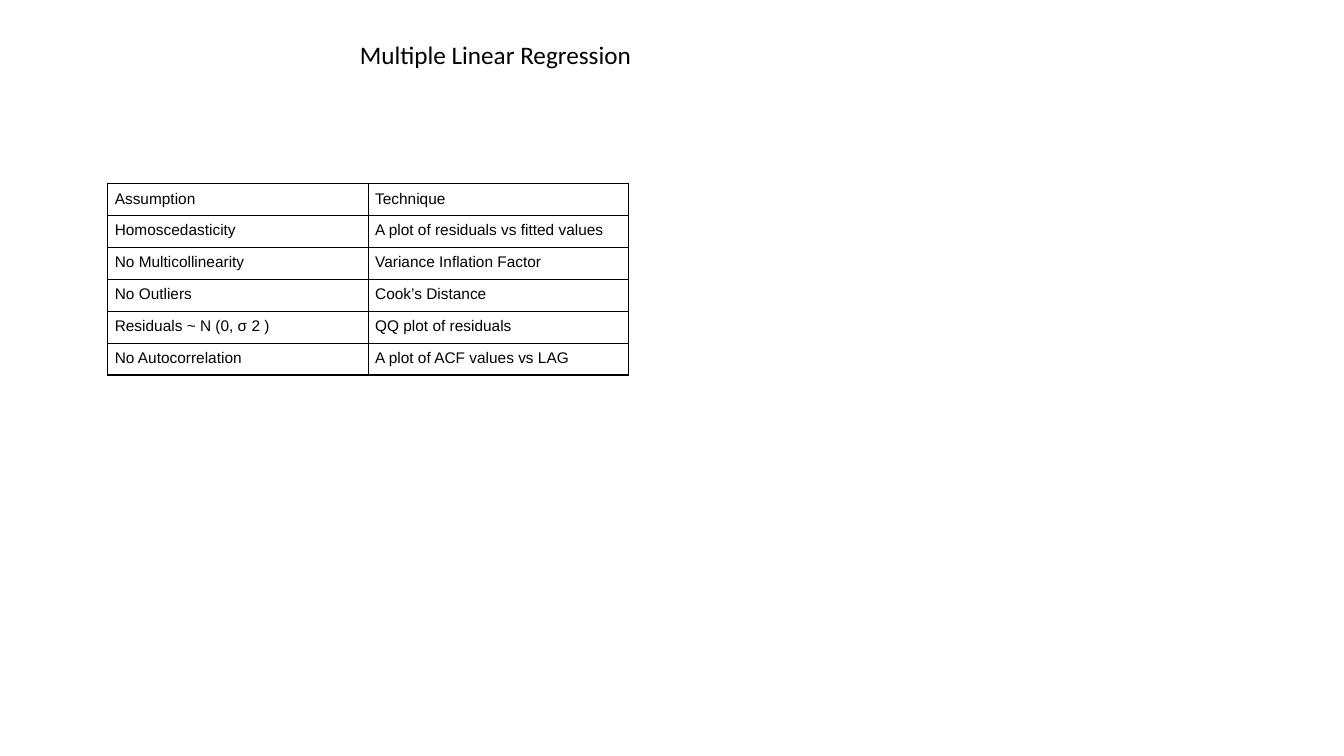
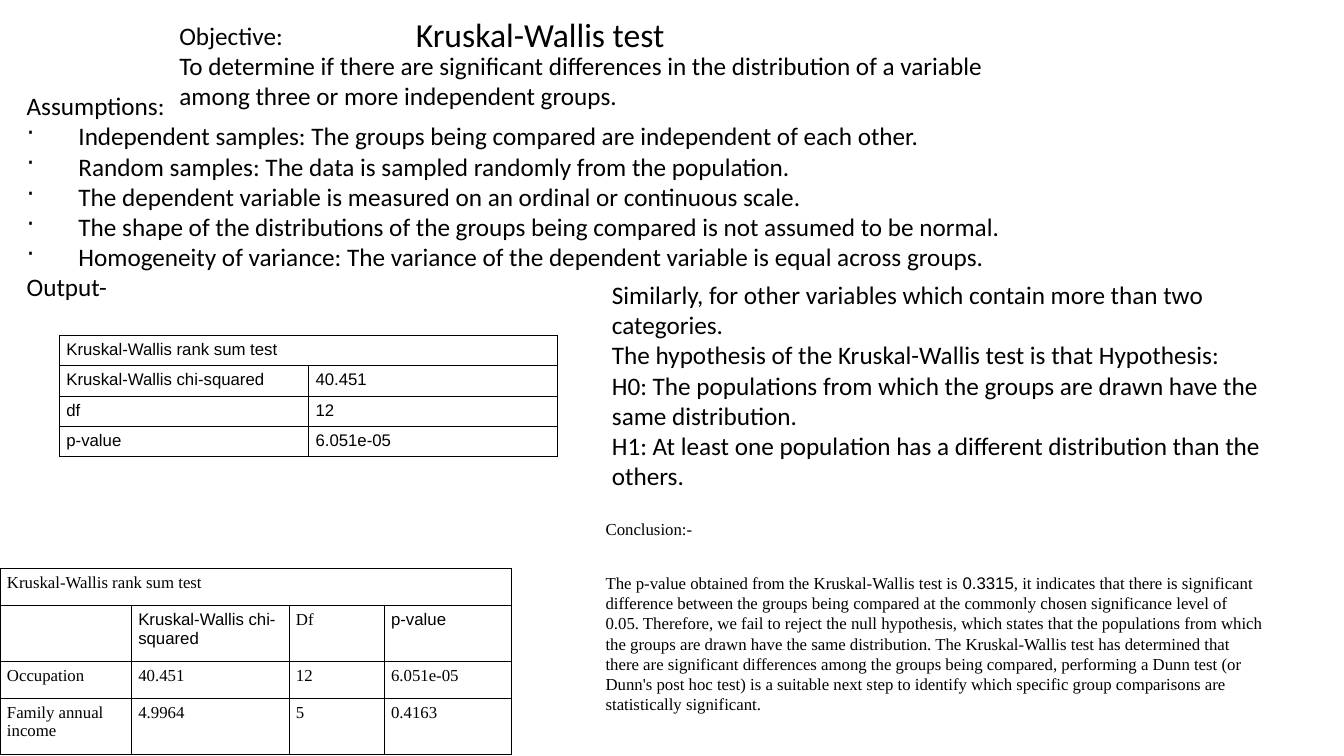
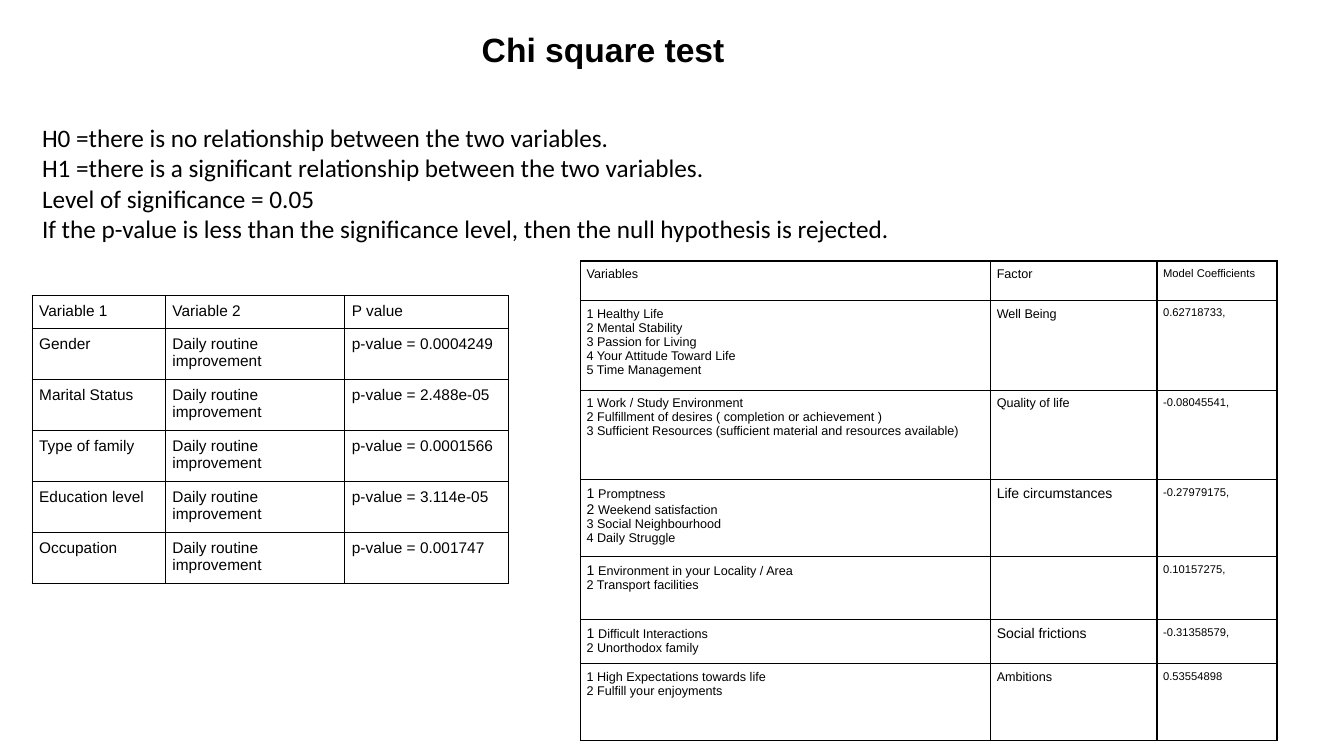
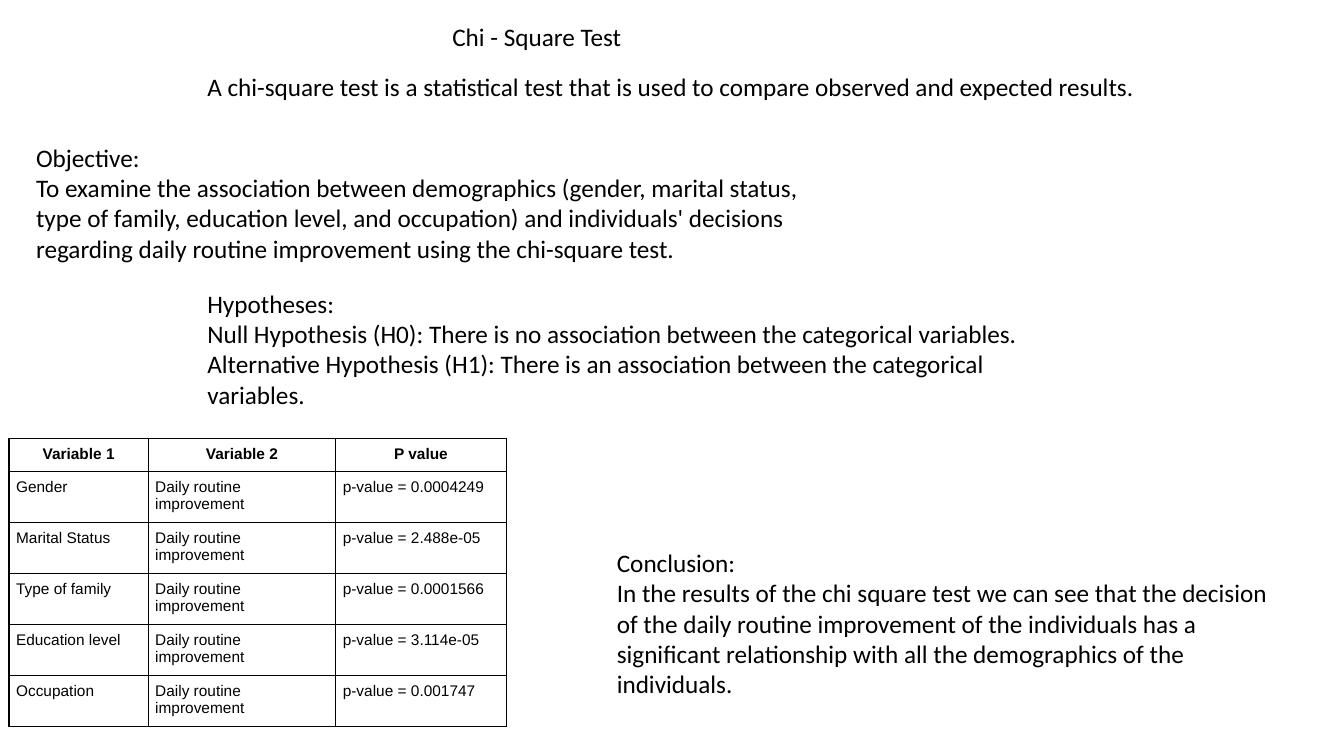
from collections import namedtuple
from dataclasses import dataclass

from lxml.etree import SubElement
from pptx import Presentation
from pptx.dml.color import RGBColor
from pptx.enum.text import PP_ALIGN
from pptx.oxml.ns import qn
from pptx.util import Pt


@dataclass(frozen=True)
class Theme:
    ink: str = "000000"
    sans: str = "Calibri"
    grid: str = "Arial"
    serif: str = "Times New Roman"
    title: int = 24
    body: int = 18
    note: int = 12
    table: int = 11
    factor: int = 10
    fine: int = 9
    tiny: int = 8
    bullet_indent: int = 37


theme = Theme()
Run = namedtuple("Run", "text font size", defaults=(None, None))
Bullet = namedtuple("Bullet", "text")
Box = namedtuple(
    "Box", "left top width height paragraphs size font bold gap",
    defaults=(theme.body, theme.sans, False, 0))


def write_text(frame, paragraphs, size, font, bold=False, gap=0, align=PP_ALIGN.LEFT):
    frame.word_wrap = True
    for index, content in enumerate(paragraphs):
        paragraph = frame.paragraphs[0] if index == 0 else frame.add_paragraph()
        paragraph.alignment = align
        if index and gap:
            paragraph.space_before = Pt(gap)
        if isinstance(content, Bullet):
            properties = paragraph._p.get_or_add_pPr()
            properties.set("marL", str(Pt(theme.bullet_indent)))
            properties.set("indent", str(-Pt(theme.bullet_indent)))
            SubElement(properties, qn("a:buChar")).set("char", "·")
            content = content.text
        for part in content if isinstance(content, list) else [content]:
            part = part if isinstance(part, Run) else Run(part)
            if not part.text:
                continue
            run = paragraph.add_run()
            run.text = part.text
            run.font.name = part.font or font
            run.font.size = Pt(part.size or size)
            run.font.bold = bold
            run.font.color.rgb = RGBColor.from_string(theme.ink)


def draw_grid(slide, left, top, widths, heights, rows, sizes, font=theme.grid,
              inset=(5, 5), line=1, strong_header=False):
    table = slide.shapes.add_table(
        len(rows), len(widths), Pt(left), Pt(top), Pt(sum(widths)), Pt(sum(heights))).table
    table.first_row = table.horz_banding = False
    for column, width in zip(table.columns, widths):
        column.width = Pt(width)
    for row, height in zip(table.rows, heights):
        row.height = Pt(height)
    for row_index, row in enumerate(rows):
        if len(row) == 1:
            table.cell(row_index, 0).merge(table.cell(row_index, len(widths) - 1))
        header = strong_header and row_index == 0
        for column_index in range(len(widths)):
            cell = table.cell(row_index, column_index)
            cell.margin_left = cell.margin_right = Pt(inset[0])
            cell.margin_top = cell.margin_bottom = Pt(inset[1])
            properties = cell._tc.get_or_add_tcPr()
            for side in ("a:lnL", "a:lnR", "a:lnT", "a:lnB"):
                border = SubElement(properties, qn(side), w=str(Pt(line)))
                fill = SubElement(border, qn("a:solidFill"))
                SubElement(fill, qn("a:srgbClr"), val=theme.ink)
            cell.fill.background()
            if column_index < len(row):
                content = row[column_index]
                write_text(
                    cell.text_frame, content if isinstance(content, list) else [content],
                    sizes[column_index], font, header,
                    align=PP_ALIGN.CENTER if header else PP_ALIGN.LEFT)


presentation = Presentation()
presentation.slide_width = Pt(960)
presentation.slide_height = Pt(540)

slide_boxes = [
    [
        Box(250, 24.5, 480, 29, ["Multiple Linear Regression"]),
    ],
    [
        Box(290, 6.5, 484.5, 36, ["Kruskal-Wallis test"], theme.title),
        Box(121, 10.8, 618.5, 73, [
            "Objective:",
            "To determine if there are significant differences in the distribution of a "
            "variable among three or more independent groups.",
        ]),
        Box(12, 61, 772, 160, [
            "Assumptions:",
            Bullet("Independent samples: The groups being compared are independent of each other."),
            Bullet("Random samples: The data is sampled randomly from the population."),
            Bullet("The dependent variable is measured on an ordinal or continuous scale."),
            Bullet("The shape of the distributions of the groups being compared is not assumed "
                   "to be normal."),
            Bullet("Homogeneity of variance: The variance of the dependent variable is equal "
                   "across groups."),
            "Output-",
        ]),
        Box(430, 196, 480, 160, [
            "Similarly, for other variables which contain more than two categories.",
            "The hypothesis of the Kruskal-Wallis test is that Hypothesis:",
            "H0: The populations from which the groups are drawn have the same distribution.",
            "H1: At least one population has a different distribution than the others.",
        ]),
        Box(425.5, 367.2, 484.5, 150, [
            "Conclusion:-",
            [
                "The p-value obtained from the Kruskal-Wallis test is ",
                Run("0.3315", theme.grid),
                ", it indicates that there is significant difference between the groups being "
                "compared at the commonly chosen significance level of 0.05. Therefore, we fail "
                "to reject the null hypothesis, which states that the populations from which the "
                "groups are drawn have the same distribution. The Kruskal-Wallis test has "
                "determined that there are significant differences among the groups being "
                "compared, performing a Dunn test (or Dunn's post hoc test) is a suitable next "
                "step to identify which specific group comparisons are statistically significant.",
            ],
        ], theme.note, theme.serif, False, 24),
    ],
    [
        Box(337, 17.3, 480, 36, ["Chi square test"], theme.title, theme.grid, True),
        Box(23, 84, 856, 95, [
            "H0 =there is no relationship between the two variables.",
            "H1 =there is a significant relationship between the two variables.",
            "Level of significance = 0.05",
            "If the p-value is less than the significance level, then the null hypothesis is "
            "rejected.",
        ]),
    ],
    [
        Box(316, 11.5, 480, 29, ["Chi - Square Test"]),
        Box(141, 47.5, 695, 29, [
            "A chi-square test is a statistical test that is used to compare observed and "
            "expected results.",
        ]),
        Box(18.7, 98, 559.5, 94, [
            "Objective:",
            "To examine the association between demographics (gender, marital status, type of "
            "family, education level, and occupation) and individuals' decisions regarding "
            "daily routine improvement using the chi-square test.",
        ]),
        Box(141, 202.3, 614, 94, [
            "Hypotheses:",
            "Null Hypothesis (H0): There is no association between the categorical variables.",
            "Alternative Hypothesis (H1): There is an association between the categorical "
            "variables.",
        ]),
        Box(433.5, 387.5, 480, 116, [
            "Conclusion:",
            "In the results of the chi square test we can see that the decision of the daily "
            "routine improvement of the individuals has a significant relationship with all the "
            "demographics of the individuals.",
        ]),
    ],
]

slides = []
for boxes in slide_boxes:
    slide = presentation.slides.add_slide(presentation.slide_layouts[6])
    slides.append(slide)
    for box in boxes:
        shape = slide.shapes.add_textbox(
            Pt(box.left), Pt(box.top), Pt(box.width), Pt(box.height))
        write_text(shape.text_frame, box.paragraphs, box.size, box.font, box.bold, box.gap)

regression_slide, kruskal_slide, chi_slide, summary_slide = slides

assumption_rows = [
    ["Assumption", "Technique"],
    ["Homoscedasticity", "A plot of residuals vs fitted values"],
    ["No Multicollinearity", "Variance Inflation Factor"],
    ["No Outliers", "Cook’s Distance"],
    ["Residuals ~ N (0, σ 2 )", "QQ plot of residuals"],
    ["No Autocorrelation", "A plot of ACF values vs LAG"],
]
draw_grid(regression_slide, 77, 131, [186] * 2, [22.2] * 6, assumption_rows,
          [theme.table] * 2, inset=(5, 4.8))

rank_sum_rows = [
    ["Kruskal-Wallis rank sum test"],
    ["Kruskal-Wallis chi-squared", "40.451"],
    ["df", "12"],
    ["p-value", "6.051e-05"],
]
draw_grid(kruskal_slide, 42.4, 239.5, [178] * 2, [21.6] * 4, rank_sum_rows,
          [theme.note] * 2, inset=(5, 3.6), line=0.6)

comparison_rows = [
    ["Kruskal-Wallis rank sum test"],
    ["", Run("Kruskal-Wallis chi-squared", theme.grid), "Df", Run("p-value", theme.grid)],
    ["Occupation", "40.451", "12", "6.051e-05"],
    ["Family annual income", "4.9964", "5", "0.4163"],
]
draw_grid(kruskal_slide, 0, 406, [93.8, 112.6, 68, 91.2], [26.3, 40.2] * 2,
          comparison_rows, [theme.note] * 4, theme.serif, (5, 3.6), 0.6)

p_values = {
    "Gender": "0.0004249",
    "Marital Status": "2.488e-05",
    "Type of family": "0.0001566",
    "Education level": "3.114e-05",
    "Occupation": "0.001747",
}
demographic_rows = [["Variable 1", "Variable 2", "P value"]] + [
    [variable, "Daily routine improvement", f"p-value = {value}"]
    for variable, value in p_values.items()]
demographic_heights = [23.6] + [36.4] * 5
for slide, left, top, widths, strong_header in (
        (chi_slide, 23, 211, [95.2, 128.2, 116.6], False),
        (summary_slide, 6.5, 313.2, [99.4, 134, 121.7], True)):
    draw_grid(slide, left, top, widths, demographic_heights, demographic_rows,
              [theme.table] * 3, strong_header=strong_header)

first, second = Run("1 ", size=theme.factor), Run("2 ", size=theme.factor)
factor_rows = [
    ["Variables", "Factor", "Model Coefficients"],
    [["1 Healthy Life", "2 Mental Stability", "3 Passion for Living",
      "4 Your Attitude Toward Life", "5 Time Management"], "Well Being", "0.62718733,"],
    [["1 Work / Study Environment",
      "2 Fulfillment of desires ( completion or achievement )",
      "3 Sufficient Resources (sufficient material and resources available)"],
     "Quality of life", "-0.08045541,"],
    [[[first, "Promptness"], [second, "Weekend satisfaction"],
      "3 Social Neighbourhood", "4 Daily Struggle"],
     Run("Life circumstances", size=theme.factor), "-0.27979175,"],
    [[[first, "Environment in your Locality / Area"], "2 Transport facilities"],
     "", "0.10157275,"],
    [[[first, "Difficult Interactions"], "2 Unorthodox family"],
     Run("Social frictions", size=theme.factor), "-0.31358579,"],
    [["1 High Expectations towards life", "2 Fulfill your enjoyments"],
     "Ambitions", "0.53554898"],
]
draw_grid(chi_slide, 414.7, 186.4, [293, 118.8, 85.7],
          [28.4, 64, 64, 55, 45, 31.5, 55], factor_rows,
          [theme.fine, theme.fine, theme.tiny], inset=(4.3, 4.3))

presentation.save("out.pptx")
